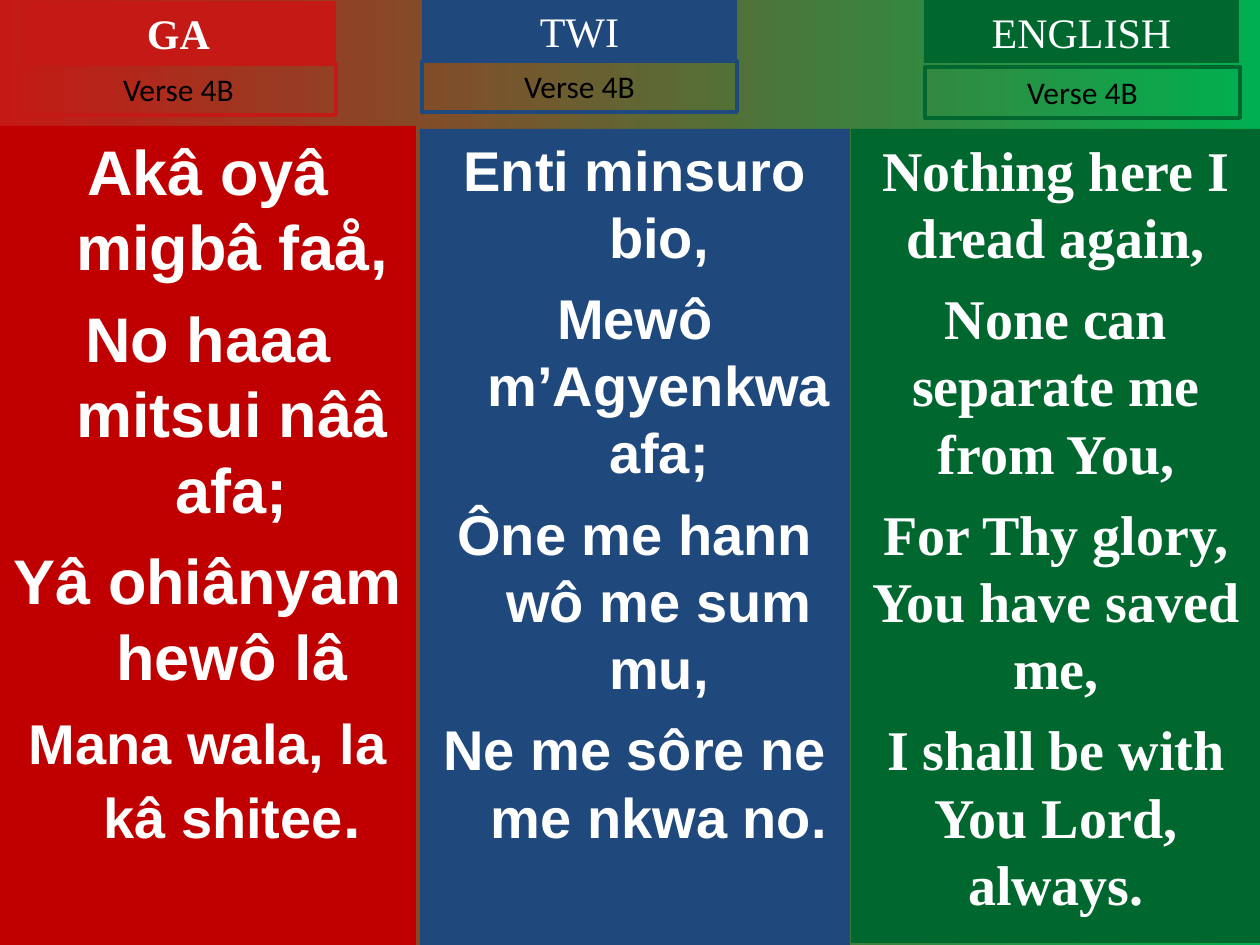
from pptx import Presentation
from pptx import util as u
from pptx.dml.color import RGBColor
from pptx.enum import shapes, text

SCALE = 914400 / 126
RED, BLUE, GREEN, WHITE = "C51915", "1F497D", "00682F", "FFFFFF"
SERIF, SANS = "Times New Roman", "Arial"


def color(value):
    return RGBColor.from_string(value)


def add_panel(slide, box, paragraphs, font_name, ink, bold=False, fill=None,
              line=None, gap=0, hanging=0):
    shape = slide.shapes.add_shape(
        shapes.MSO_SHAPE.RECTANGLE, *[u.Emu(round(n * SCALE)) for n in box])
    shape.shadow.inherit = False
    if fill:
        shape.fill.solid()
        shape.fill.fore_color.rgb = color(fill)
    else:
        shape.fill.background()
    if line:
        shape.line.color.rgb = color(line)
        shape.line.width = u.Pt(2.25)
    else:
        shape.line.fill.background()
    frame = shape.text_frame
    frame.word_wrap = True
    frame.vertical_anchor = text.MSO_ANCHOR.TOP
    for index, runs in enumerate(paragraphs):
        paragraph = frame.add_paragraph() if index else frame.paragraphs[0]
        paragraph.alignment = text.PP_ALIGN.CENTER
        paragraph.space_before = u.Pt(gap if index else 0)
        if hanging:
            indent = round(hanging * SCALE)
            properties = paragraph._p.get_or_add_pPr()
            properties.set("marL", str(indent))
            properties.set("indent", str(-indent))
        for words, size in runs:
            run = paragraph.add_run()
            run.text = words
            run.font.name = font_name
            run.font.size = u.Pt(size)
            run.font.bold = bold
            run.font.color.rgb = color(ink)


presentation = Presentation()
presentation.slide_width = u.Inches(10)
presentation.slide_height = u.Inches(7.5)
slide = presentation.slides.add_slide(presentation.slide_layouts[6])

background = slide.background.fill
background.gradient()
background.gradient_angle = 0
for stop, value in zip(background.gradient_stops, (RED, "00B050")):
    stop.color.rgb = color(value)

ga_verse = [
    [("Akâ oyâ migbâ faå,", 36)],
    [("No haaa mitsui nââ afa;", 36)],
    [("Yâ ohiânyam hewô lâ", 36)],
    [("Mana wala, la kâ shitee", 32), (".", 36)],
]
twi_verse = [[(words, 32)] for words in (
    "Enti minsuro bio,",
    "Mewô m’Agyenkwa afa;",
    "Ône me hann wô me sum mu,",
    "Ne me sôre ne me nkwa no.",
)]
english_verse = [[(words, 32)] for words in (
    "Nothing here I dread again,",
    "None can separate me from You,",
    "For Thy glory, You have saved me,",
    "I shall be with You Lord, always.",
)]

verses = [
    ((0, 126, 416, 819), ga_verse, SANS, "C00000", 9, 48),
    ((420, 129, 430, 816), twi_verse, SANS, BLUE, 8, 48),
    ((851, 129, 410, 814), english_verse, SERIF, GREEN, 8, 0),
]
for box, paragraphs, font_name, fill, gap, hanging in verses:
    add_panel(slide, box, paragraphs, font_name, WHITE, bold=True, fill=fill,
              gap=gap, hanging=hanging)

headings = [
    ("GA", RED, True, (21, 1), (21, 64)),
    ("TWI", BLUE, False, (422, -1), (422, 61)),
    ("ENGLISH", GREEN, False, (924, 0), (925, 67)),
]
for language, shade, bold, title_corner, label_corner in headings:
    add_panel(slide, (*title_corner, 315, 63), [[(language, 24)]], SERIF, WHITE,
              bold=bold, fill=shade)
    add_panel(slide, (*label_corner, 315, 51), [[("Verse 4B", 18)]], "Calibri",
              "000000", line=shade)

presentation.save("out.pptx")
